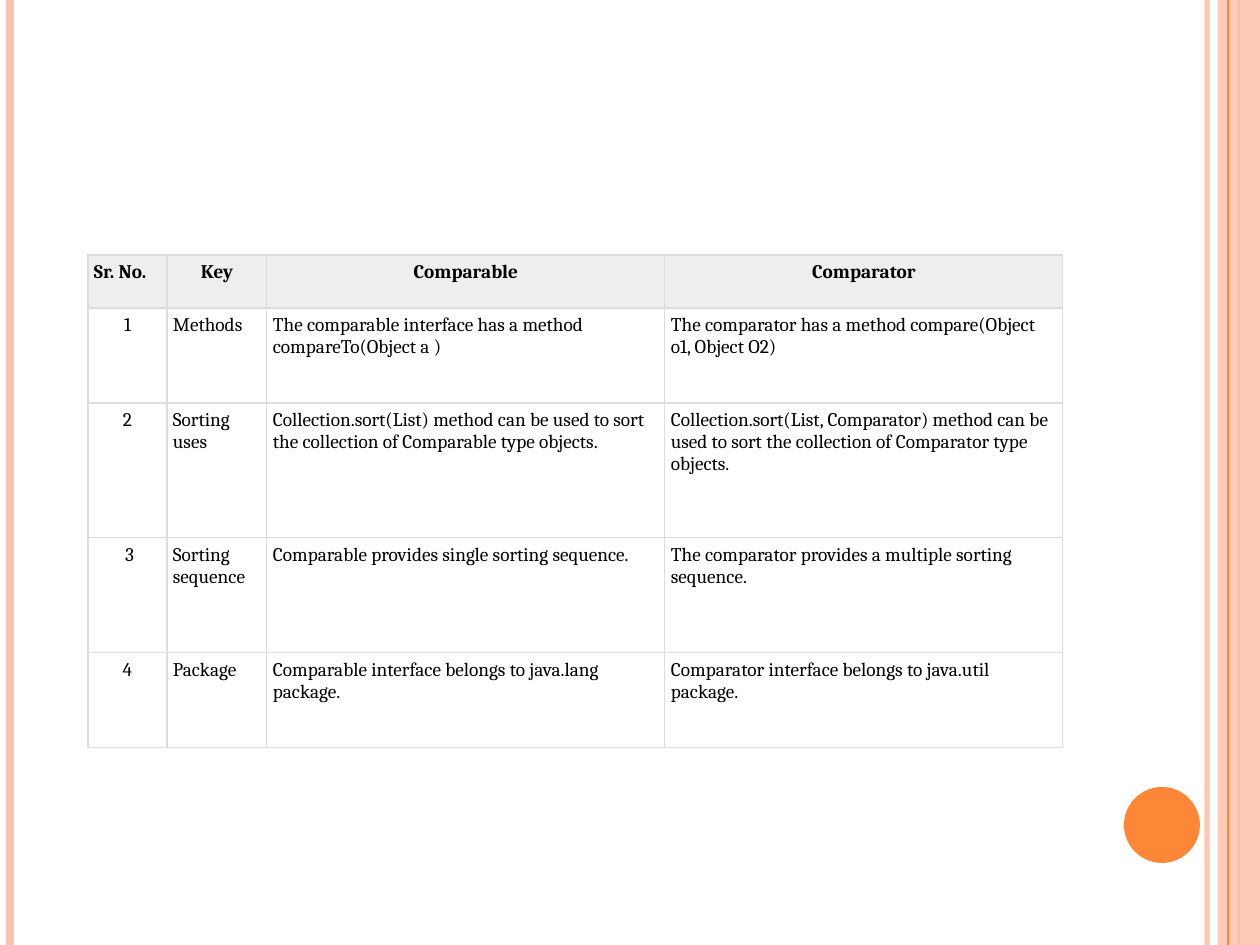
import pptx
import pptx.dml.color
import pptx.enum.shapes
import pptx.enum.text
import pptx.oxml.ns
import pptx.util
import lxml.etree

PX = 914400 // 126
THEME = {
    "peach": "FEC3AE", "orange": "FE8637", "header": "EEEEEE",
    "border": "DDDDDD", "text": "000000", "font": "Cambria", "size": 11,
}


def add_tag(parent, tag, **attributes):
    """Append a DrawingML element to parent and return it."""
    element = lxml.etree.SubElement(parent, pptx.oxml.ns.qn("a:" + tag))
    for key, value in attributes.items():
        element.set(key, str(value))
    return element


def paint(color_format, color, opacity=100):
    """Set an RGB colour and, below 100 percent, its opacity."""
    color_format.rgb = pptx.dml.color.RGBColor.from_string(THEME[color])
    if opacity < 100:
        for rgb in color_format._xFill.iter(pptx.oxml.ns.qn("a:srgbClr")):
            add_tag(rgb, "alpha", val=opacity * 1000)


deck = pptx.Presentation()
deck.slide_width = pptx.util.Inches(10)
deck.slide_height = pptx.util.Inches(7.5)
slide = deck.slides.add_slide(deck.slide_layouts[6])
shapes = slide.shapes

# Side decoration, from back to front
RECT = pptx.enum.shapes.MSO_SHAPE.RECTANGLE
OVAL = pptx.enum.shapes.MSO_SHAPE.OVAL
decorations = [
    ("stripe", 1207, 3, "peach", 93),
    ("stripe", 10, 4.5, "peach", 100),
    ("stripe", 1239, 1.5, "orange", 100),
    (RECT, (1218, 0, 42, 945), None, "peach", 87),
    ("stripe", 1228, 0.75, "orange", 100),
    (OVAL, (1124, 787, 76, 76), None, "orange", 100),
]
for kind, place, width, color, opacity in decorations:
    if kind == "stripe":
        stripe = shapes.add_connector(
            pptx.enum.shapes.MSO_CONNECTOR.STRAIGHT,
            place * PX, 0, place * PX, deck.slide_height)
        stripe.line.width = pptx.util.Pt(width)
        stripe.line.fill.solid()
        paint(stripe.line.fill.fore_color, color, opacity)
        add_tag(stripe._element.spPr, "effectLst")
    else:
        panel = shapes.add_shape(kind, *(length * PX for length in place))
        panel.shadow.inherit = False
        panel.fill.solid()
        paint(panel.fill.fore_color, color, opacity)
        panel.line.fill.background()

# Comparison table
comparison = [
    ("Sr. No.", "Key", "Comparable", "Comparator"),
    ("1", "Methods",
     "The comparable interface has a method compareTo(Object a )",
     "The comparator has a method compare(Object o1, Object O2)"),
    ("2", "Sorting uses",
     "Collection.sort(List) method can be used to sort the collection of "
     "Comparable type objects.",
     "Collection.sort(List, Comparator) method can be used to sort the "
     "collection of Comparator type objects."),
    ("\u00a03", "Sorting sequence",
     "Comparable provides single sorting sequence.",
     "The comparator provides a multiple sorting sequence."),
    ("4", "Package",
     "Comparable interface belongs to java.lang package.",
     "Comparator interface belongs to java.util package."),
]
column_widths = [79, 100, 398, 398]
row_heights = [53, 95, 135, 115, 95]
table = shapes.add_table(
    len(row_heights), len(column_widths), 88 * PX, 255 * PX,
    sum(column_widths) * PX, sum(row_heights) * PX).table
table.first_row = False
table.horz_banding = False
for column, width in zip(table.columns, column_widths):
    column.width = width * PX
for row, height in zip(table.rows, row_heights):
    row.height = height * PX

cell_format = {
    "margin_left": 6 * PX, "margin_right": 6 * PX,
    "margin_top": 6 * PX, "margin_bottom": 6 * PX,
    "vertical_anchor": pptx.enum.text.MSO_ANCHOR.TOP,
}
ALIGN = pptx.enum.text.PP_ALIGN
for row_index, entries in enumerate(comparison):
    is_header = row_index == 0
    for column_index, entry in enumerate(entries):
        cell = table.cell(row_index, column_index)
        for attribute, value in cell_format.items():
            setattr(cell, attribute, value)
        cell_properties = cell._tc.get_or_add_tcPr()
        for side in ("lnL", "lnR", "lnT", "lnB"):
            border = add_tag(cell_properties, side, w=pptx.util.Pt(0.75))
            add_tag(add_tag(border, "solidFill"), "srgbClr",
                    val=THEME["border"])
        if is_header:
            cell.fill.solid()
            paint(cell.fill.fore_color, "header")
        else:
            cell.fill.background()

        paragraph = cell.text_frame.paragraphs[0]
        # Headings are centred except the first; numbers are centred below it
        centred = is_header != (column_index == 0)
        paragraph.alignment = ALIGN.CENTER if centred else ALIGN.LEFT
        run = paragraph.add_run()
        run.text = entry
        run_format = {
            "name": THEME["font"], "size": pptx.util.Pt(THEME["size"]),
            "bold": is_header,
        }
        for attribute, value in run_format.items():
            setattr(run.font, attribute, value)
        paint(run.font.color, "text")

deck.save("out.pptx")
